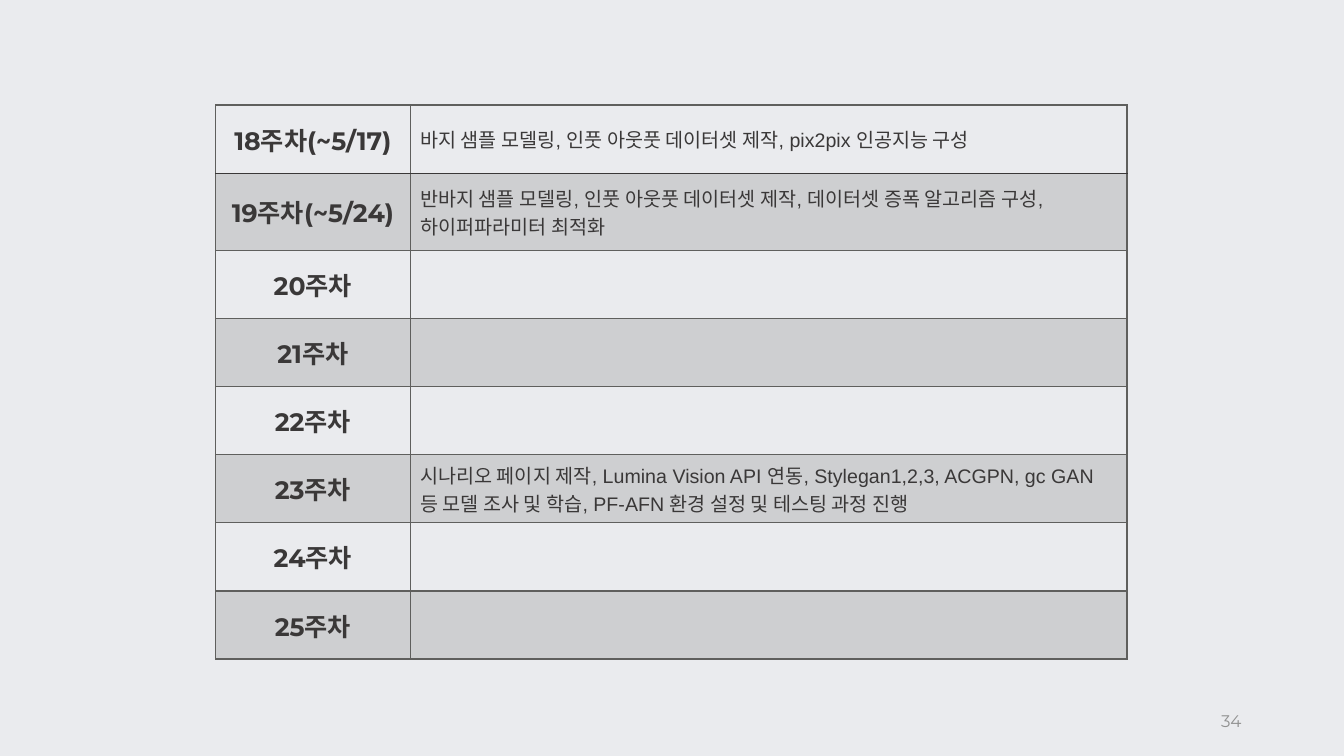
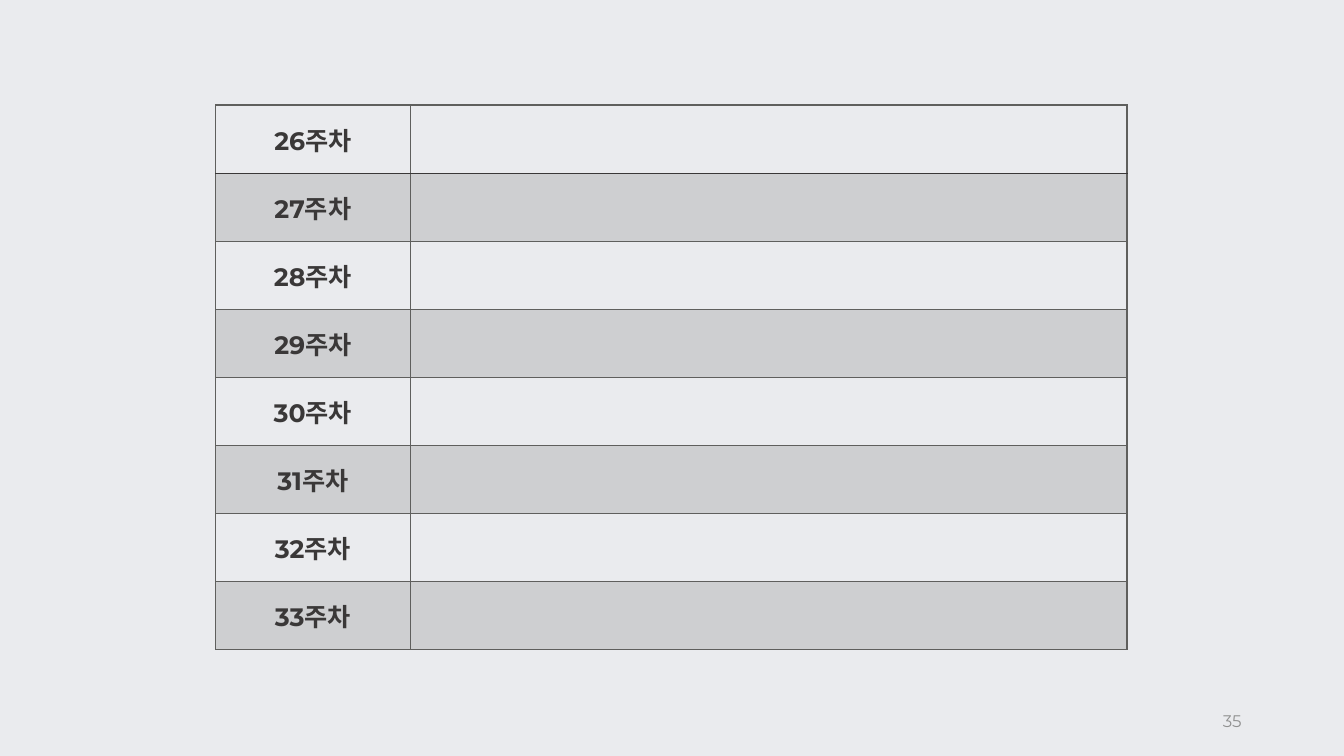
import pptx
import pptx.util
import pptx.dml.color
import pptx.enum.text
import pptx.oxml
import pptx.oxml.ns

Pt = pptx.util.Pt
ALIGN = pptx.enum.text.PP_ALIGN
MIDDLE = pptx.enum.text.MSO_ANCHOR.MIDDLE
NS = pptx.oxml.ns.nsdecls("a")

BACKGROUND, INK, GRAY, PAGE = "EAEBEE", "3A3838", "5F5F5D", "919191"
ROW_H = 48.67
COLS = (139, 512)


def rgb(color):
    return pptx.dml.color.RGBColor.from_string(color)


def add_run(p, text, font, size, color, bold=False):
    r = p.add_run()
    r.text = text
    r.font.name = font
    r.font.size = Pt(size)
    r.font.bold = bold
    r.font.color.rgb = rgb(color)


pages = [
    (34, [
        ("18주차(~5/17)", "바지 샘플 모델링, 인풋 아웃풋 데이터셋 제작, pix2pix 인공지능 구성"),
        ("19주차(~5/24)", "반바지 샘플 모델링, 인풋 아웃풋 데이터셋 제작, 데이터셋 증폭 알고리즘 구성, 하이퍼파라미터 최적화"),
        ("20주차", ""),
        ("21주차", ""),
        ("22주차", ""),
        ("23주차", "시나리오 페이지 제작, Lumina Vision API 연동, Stylegan1,2,3, ACGPN, gc GAN 등 모델 조사 및 학습, "
                  "PF-AFN 환경 설정 및 테스팅 과정 진행"),
        ("24주차", ""),
        ("25주차", ""),
    ]),
    (35, [(f"{week}주차", "") for week in range(26, 34)]),
]

prs = pptx.Presentation()
prs.slide_width, prs.slide_height = Pt(960), Pt(540)
bg = prs.slide_master.background.fill
bg.solid()
bg.fore_color.rgb = rgb(BACKGROUND)

for number, weeks in pages:
    s = prs.slides.add_slide(prs.slide_layouts[6])
    table = s.shapes.add_table(len(weeks), len(COLS), Pt(154), Pt(75),
                               Pt(sum(COLS)), Pt(ROW_H * len(weeks))).table
    table.first_row = table.horz_banding = False
    for column, width in zip(table.columns, COLS):
        column.width = Pt(width)

    for i, (week, work) in enumerate(weeks):
        table.rows[i].height = Pt(ROW_H)
        for j, text in enumerate((week, work)):
            cell = table.cell(i, j)
            cell.vertical_anchor = MIDDLE
            p = cell.text_frame.paragraphs[0]
            if j == 0:
                p.alignment = ALIGN.CENTER
                add_run(p, text, "Montserrat", 18, INK, True)
            elif text:
                add_run(p, text, "Arial", 14, INK)

            tc_pr = cell._tc.get_or_add_tcPr()
            if i % 2:
                cell.fill.solid()
                cell.fill.fore_color.rgb = rgb(GRAY)
                color = tc_pr.find(".//" + pptx.oxml.ns.qn("a:srgbClr"))
                color.append(pptx.oxml.parse_xml(f'<a:alpha {NS} val="20000"/>'))
            else:
                cell.fill.background()

            for k, side in enumerate("LRTB"):
                dark = (i, side) in ((0, "B"), (1, "T"))
                tc_pr.insert(k, pptx.oxml.parse_xml(
                    f'<a:ln{side} {NS} w="12700"><a:solidFill>'
                    f'<a:srgbClr val="{INK if dark else GRAY}"/>'
                    f'</a:solidFill></a:ln{side}>'))

    tf = s.shapes.add_textbox(Pt(678), Pt(500.5), Pt(216), Pt(28.75)).text_frame
    tf.word_wrap = True
    tf.vertical_anchor = MIDDLE
    p = tf.paragraphs[0]
    p.alignment = ALIGN.RIGHT
    add_run(p, str(number), "Montserrat", 12, PAGE)

prs.save("out.pptx")
